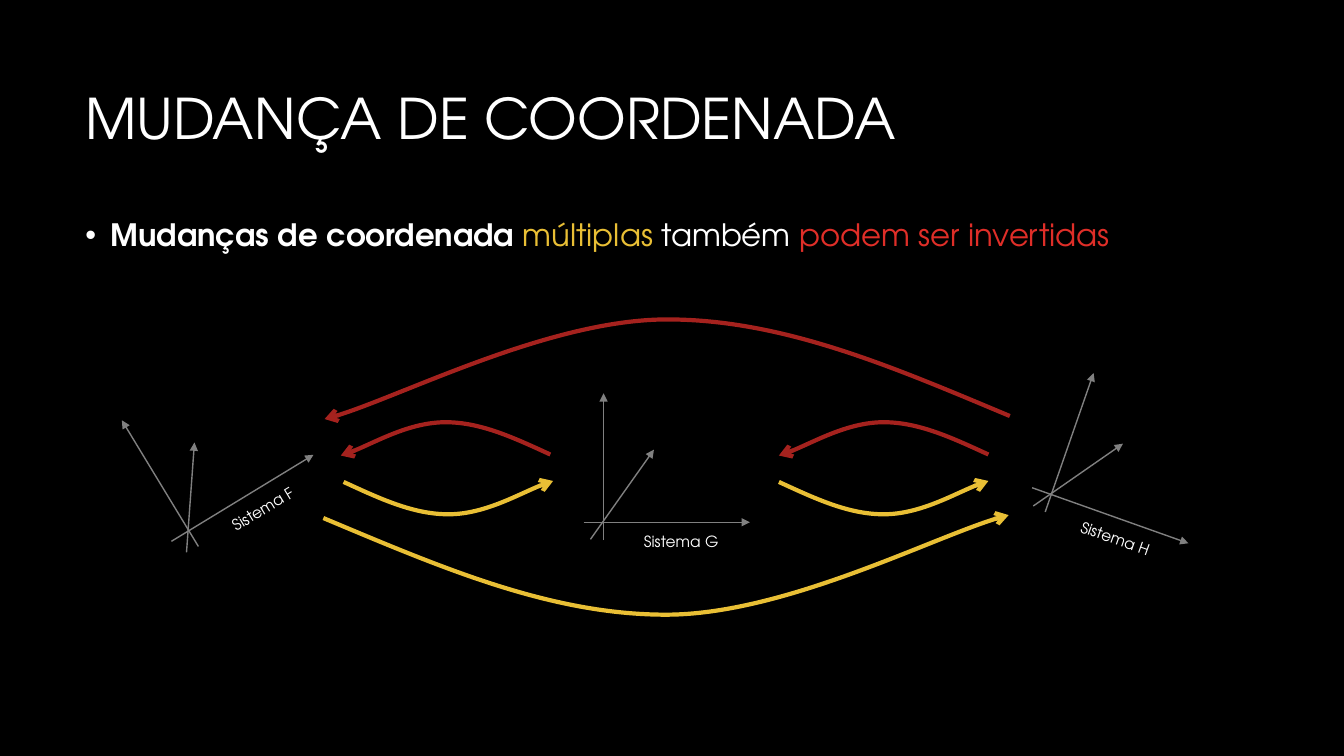
from dataclasses import dataclass

from lxml import etree
from pptx import Presentation
from pptx.dml.color import RGBColor
from pptx.enum.shapes import MSO_CONNECTOR
from pptx.enum.text import MSO_ANCHOR, MSO_AUTO_SIZE
from pptx.oxml.ns import qn
from pptx.slide import Slide
from pptx.text.text import Font, TextFrame
from pptx.util import Cm, Pt

STRAIGHT = MSO_CONNECTOR.STRAIGHT
MIDDLE = MSO_ANCHOR.MIDDLE
FIT_TEXT = MSO_AUTO_SIZE.SHAPE_TO_FIT_TEXT
NO_AUTO_SIZE = MSO_AUTO_SIZE.NONE

TYPEFACE = "TeX Gyre Adventor"
BLACK, WHITE, GRAY = "000000", "FFFFFF", "808080"
YELLOW, RED, DARK_RED = "E9BF35", "DF2E28", "A5221E"

ARC_CURVE = [(1, 0.97), (0.83, 0.48), (0.67, 0), (0.5, 0), (0.33, 0), (0.09, 0.85), (0, 1)]


@dataclass
class Axis:
    x1: float
    y1: float
    x2: float
    y2: float


@dataclass
class CoordinateSystem:
    label: str
    left: float
    top: float
    width: float
    rotation: float
    axes: list[Axis]


@dataclass
class Arc:
    left: float
    top: float
    width: float
    height: float
    inverse: bool


@dataclass
class Phrase:
    text: str
    color: str
    bold: bool = False


SYSTEMS = [
    CoordinateSystem("Sistema G", 15.98, 13.28, 2.41, 0, [
        Axis(14.71, 13.16, 18.9, 13.16),
        Axis(15.21, 13.61, 15.21, 9.91),
        Axis(14.88, 13.59, 16.48, 11.33),
    ]),
    CoordinateSystem("Sistema F", 5.51, 12.45, 2.26, 328.8, [
        Axis(4.32, 13.64, 7.9, 11.46),
        Axis(5, 13.77, 3.07, 10.59),
        Axis(4.7, 13.92, 4.9, 11.15),
    ]),
    CoordinateSystem("Sistema H", 26.95, 13.23, 2.41, 19.6, [
        Axis(26.01, 12.29, 29.95, 13.69),
        Axis(26.34, 12.9, 27.56, 9.4),
        Axis(26.04, 12.75, 28.3, 11.18),
    ]),
]

ARCS = [
    Arc(8.59, 10.64, 5.28, 0.84, True),
    Arc(8.66, 12.12, 5.28, 0.84, False),
    Arc(19.63, 10.64, 5.28, 0.84, True),
    Arc(19.63, 12.12, 5.28, 0.84, False),
    Arc(8.18, 8.05, 17.27, 2.51, True),
    Arc(8.15, 12.98, 17.27, 2.51, False),
]

STATEMENT = [
    Phrase("Mudanças de coordenada ", WHITE, True),
    Phrase("múltiplas", YELLOW),
    Phrase(" também ", WHITE),
    Phrase("podem ser invertidas", RED),
]


def rgb(color: str) -> RGBColor:
    return RGBColor.from_string(color)


def style_font(font: Font, size: float) -> None:
    font.name = TYPEFACE
    font.size = Pt(size)
    font.color.rgb = rgb(WHITE)


def style_arrow(arrow, color: str, width: float, head: str) -> None:
    arrow.line.color.rgb = rgb(color)
    arrow.line.width = Pt(width)
    outline = arrow._element.spPr.find(qn("a:ln"))
    etree.SubElement(outline, qn("a:tailEnd")).set("type", head)


def add_text_frame(slide: Slide, left: float, top: float, width: float, height: float) -> TextFrame:
    frame = slide.shapes.add_textbox(Cm(left), Cm(top), Cm(width), Cm(height)).text_frame
    frame.word_wrap = True
    frame.auto_size = NO_AUTO_SIZE
    return frame


def add_title(slide: Slide) -> None:
    frame = add_text_frame(slide, 1.9, 1.27, 30.05, 3.58)
    frame.vertical_anchor = MIDDLE
    title = frame.paragraphs[0]
    title.text = "MUDANÇA DE COORDENADA"
    title.line_spacing = 0.9
    style_font(title.font, 40)


def add_statement(slide: Slide) -> None:
    statement = add_text_frame(slide, 1.9, 5.23, 30.05, 11.91).paragraphs[0]
    statement.line_spacing = 1.1
    properties = statement._p.get_or_add_pPr()
    properties.set("marL", str(Cm(0.64)))
    properties.set("indent", str(Cm(-0.64)))
    etree.SubElement(properties, qn("a:buFont")).set("typeface", "Arial")
    etree.SubElement(properties, qn("a:buChar")).set("char", "•")
    style_font(statement.font, 22)
    for phrase in STATEMENT:
        run = statement.add_run()
        run.text = phrase.text
        run.font.bold = phrase.bold
        run.font.color.rgb = rgb(phrase.color)


def add_system(slide: Slide, system: CoordinateSystem) -> None:
    for axis in system.axes:
        line = slide.shapes.add_connector(
            STRAIGHT, Cm(axis.x1), Cm(axis.y1), Cm(axis.x2), Cm(axis.y2))
        style_arrow(line, GRAY, 1, "triangle")
        etree.SubElement(line._element.spPr, qn("a:effectLst"))
    label = slide.shapes.add_textbox(
        Cm(system.left), Cm(system.top), Cm(system.width), Cm(0.74))
    label.rotation = system.rotation
    label.text_frame.word_wrap = False
    label.text_frame.auto_size = FIT_TEXT
    name = label.text_frame.paragraphs[0]
    name.text = system.label
    style_font(name.font, 11)


def add_arc(slide: Slide, arc: Arc) -> None:
    curve = ARC_CURVE if arc.inverse else [(1 - x, 1 - y) for x, y in ARC_CURVE]
    points = [(Cm(arc.left + x * arc.width), Cm(arc.top + y * arc.height)) for x, y in curve]
    builder = slide.shapes.build_freeform(*points[0])
    builder.add_line_segments(points[1:], close=False)
    arrow = builder.convert_to_shape()
    path = arrow._element.spPr.find(".//" + qn("a:path"))
    segments = path.findall(qn("a:lnTo"))
    for first in range(0, len(segments), 3):
        bezier = etree.SubElement(path, qn("a:cubicBezTo"))
        for segment in segments[first:first + 3]:
            bezier.append(segment[0])
            path.remove(segment)
    arrow.fill.background()
    arrow.shadow.inherit = False
    style_arrow(arrow, DARK_RED if arc.inverse else YELLOW, 3, "arrow")


def main() -> None:
    deck = Presentation()
    deck.slide_width, deck.slide_height = Cm(33.87), Cm(19.05)
    slide = deck.slides.add_slide(deck.slide_layouts[6])
    slide.background.fill.solid()
    slide.background.fill.fore_color.rgb = rgb(BLACK)
    add_title(slide)
    add_statement(slide)
    for system in SYSTEMS:
        add_system(slide, system)
    for arc in ARCS:
        add_arc(slide, arc)
    deck.save("out.pptx")


if __name__ == "__main__":
    main()
